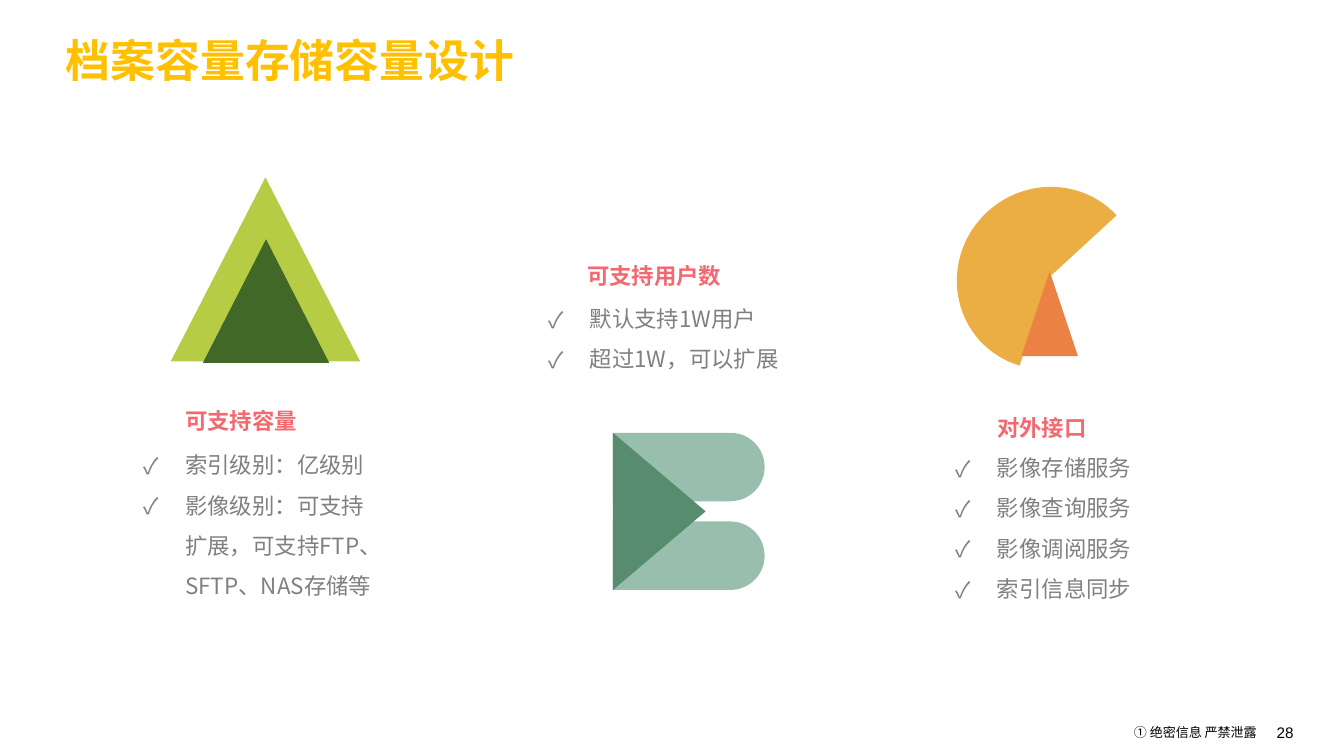
from math import cos, pi, sin

from lxml.etree import SubElement
from pptx import Presentation
from pptx.dml.color import RGBColor
from pptx.enum.shapes import MSO_SHAPE as Shape
from pptx.enum.text import MSO_ANCHOR as Anchor, MSO_AUTO_SIZE as AutoSize, PP_ALIGN as Align
from pptx.oxml.ns import qn
from pptx.util import Emu, Pt

PX = 9144  # 100 px to the inch
CJK = "Noto Sans CJK SC"
GOLD, CORAL, GREY, BLACK = "FFC000", "F46970", "808080", "000000"
LIME, FOREST, MINT, JADE = "B6CC45", "416827", "98BEAD", "578C6E"
AMBER, ORANGE = "EBAE44", "EC8144"


def px(value):
    return Emu(round(value * PX))


def color(code):
    return RGBColor.from_string(code)


def write(para, text, size=12, hue=GREY, bold=False, font=CJK):
    span = para.add_run()
    span.text = text
    span.font.size = Pt(size)
    span.font.bold = bold
    span.font.color.rgb = color(hue)
    span.font.name = font
    SubElement(span.font._element, qn("a:ea")).set("typeface", font)


class Painter:
    inset = (10, 5, 10, 5)
    indent = 31
    bullet = "✓"

    def __init__(self, page):
        self.page = page

    def frame(self, left, top, width, height, inset=inset, anchor=Anchor.TOP, grow=True):
        box = self.page.shapes.add_textbox(px(left), px(top), px(width), px(height))
        frame = box.text_frame
        frame.word_wrap = True
        frame.auto_size = AutoSize.SHAPE_TO_FIT_TEXT if grow else AutoSize.NONE
        frame.vertical_anchor = anchor
        (frame.margin_left, frame.margin_top,
         frame.margin_right, frame.margin_bottom) = map(px, inset)
        return frame

    def line(self, area, text, spacing=None, align=Align.LEFT, style=None, **layout):
        para = self.frame(*area, **layout).paragraphs[0]
        para.alignment = align
        para.line_spacing = spacing
        write(para, text, **(style or {}))

    def heading(self, area, text):
        self.line(area, text, spacing=1.5, style=dict(hue=CORAL, bold=True))

    def checklist(self, area, items):
        frame = self.frame(*area)
        for index, item in enumerate(items):
            para = frame.add_paragraph() if index else frame.paragraphs[0]
            props = para._p.get_or_add_pPr()
            props.set("marL", str(px(self.indent)))
            props.set("indent", str(-px(self.indent)))
            SubElement(props, qn("a:buFont")).set("typeface", CJK)
            SubElement(props, qn("a:buChar")).set("char", self.bullet)
            para.line_spacing = 1.5
            write(para, item)

    def paint(self, shape, hue):
        shape.shadow.inherit = False
        shape.fill.solid()
        shape.fill.fore_color.rgb = color(hue)
        shape.line.fill.background()

    def preset(self, kind, area, hue, rotation=0, adjust=()):
        shape = self.page.shapes.add_shape(kind, *map(px, area))
        shape.rotation = rotation
        for index, value in enumerate(adjust):
            shape.adjustments[index] = value
        self.paint(shape, hue)

    def tab(self, left, top, width, height, hue, steps=32):
        """Bar with a square left end and a half-round right end."""
        radius = height / 2
        middle_x, middle_y = left + width - radius, top + radius
        angles = [pi * (step / steps - 0.5) for step in range(steps + 1)]
        arc = [(px(middle_x + radius * cos(a)), px(middle_y + radius * sin(a))) for a in angles]
        builder = self.page.shapes.build_freeform(px(left), px(top))
        builder.add_line_segments(arc + [(px(left), px(top + height))], close=True)
        self.paint(builder.convert_to_shape(), hue)


def main():
    deck = Presentation()
    deck.slide_width = px(1000)
    deck.slide_height = px(1000 * 9 / 16)
    painter = Painter(deck.slides.add_slide(deck.slide_layouts[6]))

    # Footer and title
    painter.line((950, 538, 50, 14), "28", inset=(0,) * 4, anchor=Anchor.MIDDLE,
                 style=dict(size=8.2, hue=BLACK, font="Arial"))
    painter.line((759, 537, 177, 14), "① 绝密信息 严禁泄露", spacing=Pt(10), align=Align.RIGHT,
                 inset=(1,) * 4, anchor=Anchor.MIDDLE, style=dict(size=7, hue=BLACK))
    painter.line((49, 24, 919, 57), "档案容量存储容量设计", inset=(0,) * 4, grow=False,
                 style=dict(size=24, hue=GOLD, bold=True))

    # Letter A: nested triangles
    painter.preset(Shape.ISOSCELES_TRIANGLE, (127, 132, 141, 137), LIME)
    painter.preset(Shape.ISOSCELES_TRIANGLE, (151, 178, 94, 92), FOREST)

    # Letter B: two tabs behind a sideways triangle
    for top in (388, 322):
        painter.tab(456, top, 113, 51, MINT)
    painter.preset(Shape.ISOSCELES_TRIANGLE, (432, 346, 117, 69), JADE, rotation=90)

    # Letter C: open pie with a wedge
    painter.preset(Shape.PIE, (713, 138, 134, 138), AMBER, rotation=47.4, adjust=(36.45, 162))
    painter.preset(Shape.ISOSCELES_TRIANGLE, (760, 202, 42, 63), ORANGE)

    # Text columns: heading and checklist
    columns = [
        ((128, 288, 153, 40), "可支持容量", (97, 321, 199, 131),
         ["索引级别：亿级别", "影像级别：可支持扩展，可支持FTP、SFTP、NAS存储等"]),
        ((427, 180, 127, 40), "可支持用户数", (398, 212, 199, 71),
         ["默认支持1W用户", "超过1W，可以扩展"]),
        ((732, 293, 99, 40), "对外接口", (701, 323, 168, 131),
         ["影像存储服务", "影像查询服务", "影像调阅服务", "索引信息同步"]),
    ]
    for heading_area, heading, list_area, items in columns:
        painter.checklist(list_area, items)
        painter.heading(heading_area, heading)

    deck.save("out.pptx")


if __name__ == "__main__":
    main()
